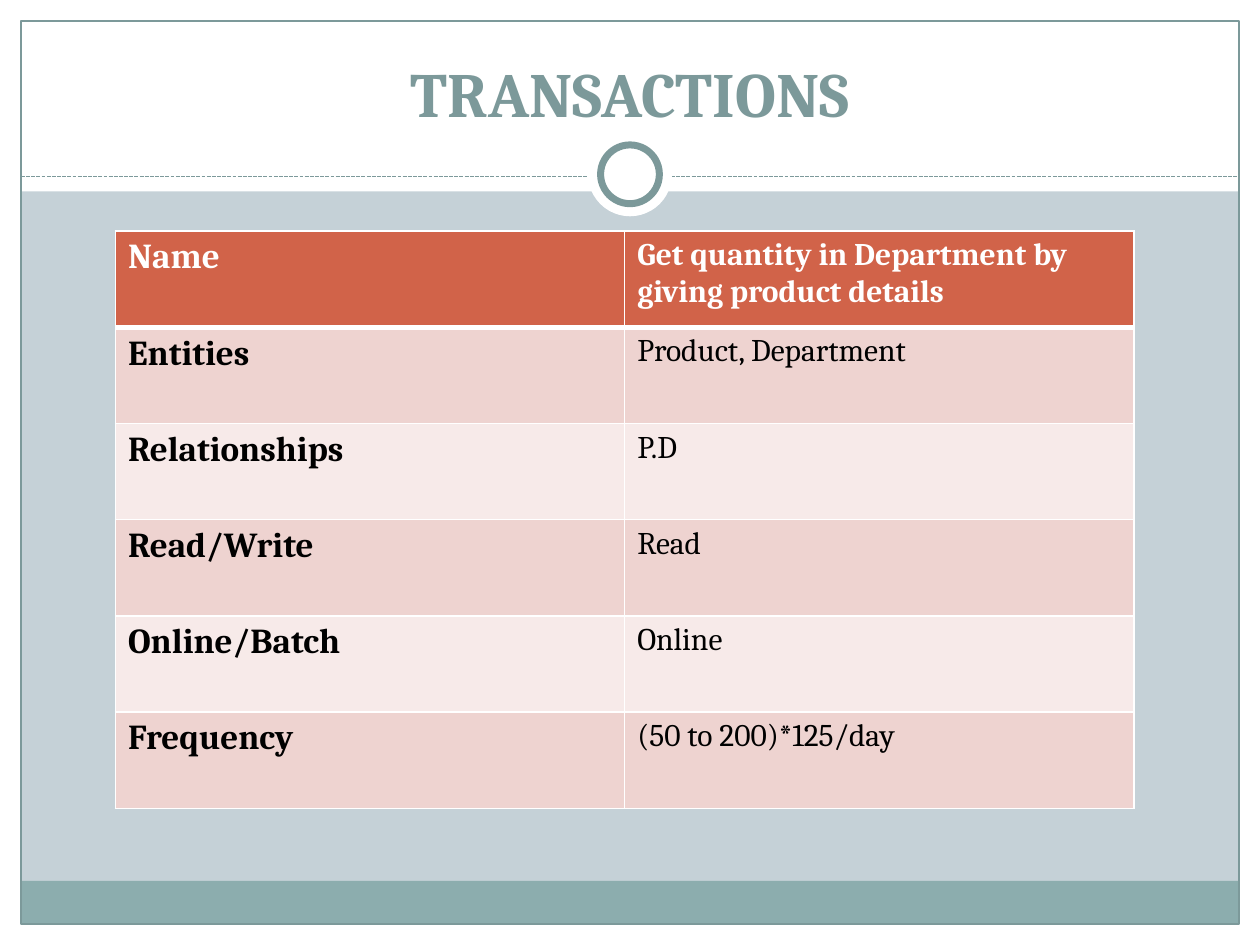
from lxml import etree
from pptx import Presentation
from pptx.dml.color import RGBColor
from pptx.enum.dml import MSO_LINE
from pptx.enum.shapes import MSO_CONNECTOR, MSO_SHAPE
from pptx.enum.text import MSO_ANCHOR, PP_ALIGN
from pptx.oxml import parse_xml
from pptx.oxml.ns import nsdecls, qn
from pptx.util import Inches, Pt

RECT, OVAL = MSO_SHAPE.RECTANGLE, MSO_SHAPE.OVAL
STRAIGHT, DASHED = MSO_CONNECTOR.STRAIGHT, MSO_LINE.SQUARE_DOT
BOTTOM, CENTER = MSO_ANCHOR.BOTTOM, PP_ALIGN.CENTER

WHITE = RGBColor(0xFF, 0xFF, 0xFF)
BLACK = RGBColor(0x00, 0x00, 0x00)
BACKDROP = RGBColor(0xC5, 0xD1, 0xD7)
TEAL = RGBColor(0x7C, 0x99, 0x9A)
FOOTER = RGBColor(0x8C, 0xAD, 0xAE)
HEADER = RGBColor(0xD1, 0x63, 0x49)
BANDS = (RGBColor(0xF7, 0xEA, 0xE9), RGBColor(0xEE, 0xD3, 0xD0))

# Square grid: 60 columns by 45 rows
COLUMNS, ROWS = 60, 45
WIDTH, HEIGHT = Inches(10), Inches(7.5)

TRANSACTION = [
    ("Name", "Get quantity in Department by giving product details"),
    ("Entities", "Product, Department"),
    ("Relationships", "P.D"),
    ("Read/Write", "Read"),
    ("Online/Batch", "Online"),
    ("Frequency", "(50 to 200)*125/day"),
]


class SlideBuilder:
    font = "Cambria"

    def __init__(self, slide):
        self.slide = slide
        self.shapes = slide.shapes

    def grid(self, x, y, w, h):
        """Turn grid columns and rows into slide lengths."""
        return (round(x * WIDTH / COLUMNS), round(y * HEIGHT / ROWS),
                round(w * WIDTH / COLUMNS), round(h * HEIGHT / ROWS))

    def background(self, color):
        fill = self.slide.background.fill
        fill.solid()
        fill.fore_color.rgb = color

    def shape(self, kind, area, fill=None, line=None, weight=0.75):
        shape = self.shapes.add_shape(kind, *self.grid(*area))
        shape.shadow.inherit = False
        if fill is None:
            shape.fill.background()
        else:
            shape.fill.solid()
            shape.fill.fore_color.rgb = fill
        if line is None:
            shape.line.fill.background()
        else:
            shape.line.color.rgb = line
            shape.line.width = Pt(weight)

    def dashed_rule(self, x1, x2, y, color):
        left, top, right, bottom = self.grid(x1, y, x2, y)
        rule = self.shapes.add_connector(STRAIGHT, left, top, right, bottom)
        rule.line.color.rgb = color
        rule.line.width = Pt(0.75)
        rule.line.dash_style = DASHED
        etree.SubElement(rule._element.spPr, qn("a:effectLst"))

    def add_text(self, paragraph, text, size, color, bold):
        run = paragraph.add_run()
        run.text = text
        run.font.name = self.font
        run.font.size = Pt(size)
        run.font.bold = bold
        run.font.color.rgb = color

    def title(self, area, text):
        frame = self.shapes.add_textbox(*self.grid(*area)).text_frame
        frame.word_wrap = True
        frame.vertical_anchor = BOTTOM
        frame.paragraphs[0].alignment = CENTER
        self.add_text(frame.paragraphs[0], text, 36, TEAL, True)

    def borders(self, cell, top, bottom):
        weights = {"L": 1, "R": 1, "T": top, "B": bottom}
        for index, (side, weight) in enumerate(weights.items()):
            cell._tc.get_or_add_tcPr().insert(index, parse_xml(
                f'<a:ln{side} {nsdecls("a")} w="{Pt(weight)}"><a:solidFill>'
                f'<a:srgbClr val="{WHITE}"/></a:solidFill></a:ln{side}>'))

    def table(self, area, records):
        table = self.shapes.add_table(
            len(records), len(records[0]), *self.grid(*area)).table
        for r, record in enumerate(records):
            is_header = r == 0
            for c, text in enumerate(record):
                is_label = c == 0
                cell = table.cell(r, c)
                cell.fill.solid()
                cell.fill.fore_color.rgb = HEADER if is_header else BANDS[r % 2]
                self.borders(cell, 3 if r == 1 else 1, 3 if is_header else 1)
                self.add_text(cell.text_frame.paragraphs[0], text,
                              20 if is_label else 18,
                              WHITE if is_header else BLACK,
                              is_header or is_label)


def main():
    deck = Presentation()
    deck.slide_width, deck.slide_height = WIDTH, HEIGHT
    page = SlideBuilder(deck.slides.add_slide(deck.slide_layouts[6]))
    page.background(BACKDROP)

    # White margins and title band
    for margin in ((0, 44, 60, 1), (0, 0, 60, 9.12), (0, 0, 1, 45), (59, 0, 1, 45)):
        page.shape(RECT, margin, fill=WHITE)

    # Footer band and frame
    page.shape(RECT, (1, 41.95, 58, 2.05), fill=FOOTER)
    page.shape(RECT, (1, 1, 58, 43), line=TEAL)

    # Divider with ring
    page.dashed_rule(1, 59, 8.4, TEAL)
    page.shape(OVAL, (28, 6.3, 4, 4), fill=WHITE)
    page.shape(OVAL, (28.6, 6.9, 2.8, 2.8), fill=WHITE, line=TEAL, weight=4)

    # Title and transaction details
    page.title((2, 1.5, 56, 5), "TRANSACTIONS")
    page.table((5.5, 11, 48.5, 27.5), TRANSACTION)

    deck.save("out.pptx")


if __name__ == "__main__":
    main()
